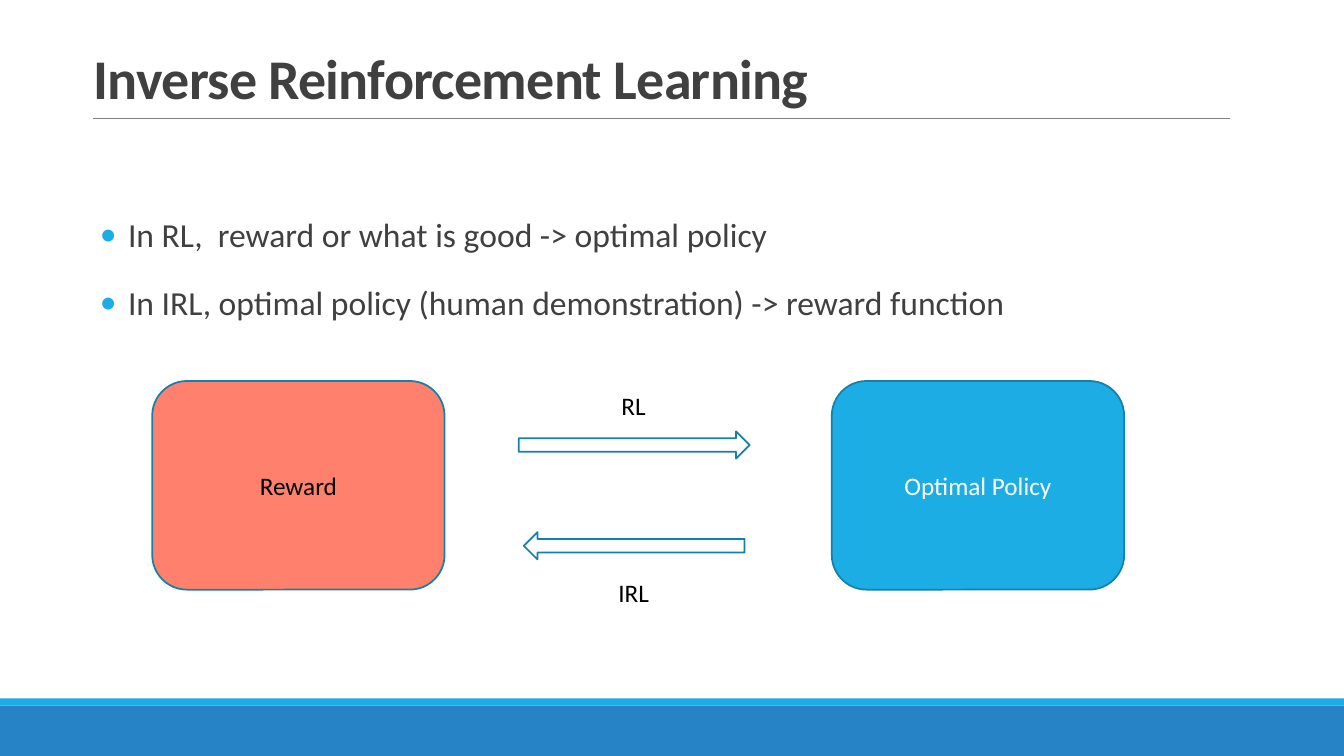
from lxml import etree
from pptx import Presentation
from pptx.dml.color import RGBColor
from pptx.enum.shapes import MSO_CONNECTOR, MSO_SHAPE as SHAPE
from pptx.enum.text import MSO_ANCHOR as ANCHOR, PP_ALIGN as ALIGN
from pptx.oxml.ns import qn
from pptx.util import Inches, Pt

BLUE, DARK_BLUE, OUTLINE = "1CADE4", "2683C6", "1580A9"
GREY, BLACK, WHITE, CORAL = "404040", "000000", "FFFFFF", "FF816D"


def color(value):
    return RGBColor.from_string(value)


def write(p, text, ink, **formats):
    r = p.add_run()
    r.text = text
    for name, value in {"name": "Calibri", **formats}.items():
        setattr(r.font, name, value)
    r.font.color.rgb = color(ink)
    return r


def add_text(slide, box, wrap=True, **formats):
    tf = slide.shapes.add_textbox(*map(Inches, box)).text_frame
    for name, value in {"word_wrap": wrap, **formats}.items():
        setattr(tf, name, value)
    return tf


def add_block(slide, kind, box, fill, line=None):
    sp = slide.shapes.add_shape(kind, *map(Inches, box))
    sp.shadow.inherit = False
    sp.fill.solid()
    sp.fill.fore_color.rgb = color(fill)
    if line:
        sp.line.color.rgb = color(line)
        sp.line.width = Pt(1.25)
    else:
        sp.line.fill.background()
    return sp


def add_footer(slide, left, top, width, height):
    stripe = 0.07
    add_block(slide, SHAPE.RECTANGLE, (left, top + stripe, width, height - stripe), DARK_BLUE)
    add_block(slide, SHAPE.RECTANGLE, (left, top, width, stripe), BLUE)


def add_title(slide, text, left, top, width, height):
    rule_y = Inches(top + height + 0.02)
    rule = slide.shapes.add_connector(
        MSO_CONNECTOR.STRAIGHT, Inches(left + 0.09), rule_y, Inches(left + width - 0.07), rule_y)
    rule.line.color.rgb = color("808080")
    rule.line.width = Pt(0.5)
    etree.SubElement(rule._element.spPr, qn("a:effectLst"))
    tf = add_text(slide, (left, top, width, height), vertical_anchor=ANCHOR.BOTTOM)
    p = tf.paragraphs[0]
    p.line_spacing = 0.85
    r = write(p, text, GREY, size=Pt(40), bold=True)
    r.font._element.set("spc", "-50")


def add_bullets(slide, items, left, top, width, height):
    tf = add_text(slide, (left, top, width, height), margin_left=0, margin_right=0)
    for i, item in enumerate(items):
        p = tf.add_paragraph() if i else tf.paragraphs[0]
        p.line_spacing, p.space_before, p.space_after = 1.2, Pt(12 if i else 0), Pt(2)
        pPr = p._p.get_or_add_pPr()
        pPr.set("marL", str(Inches(0.39)))
        pPr.set("indent", str(Inches(-0.28)))
        bullet_color = etree.SubElement(pPr, qn("a:buClr"))
        etree.SubElement(bullet_color, qn("a:srgbClr"), val=BLUE)
        etree.SubElement(pPr, qn("a:buFont"), typeface="Calibri")
        etree.SubElement(pPr, qn("a:buChar"), char="•")
        write(p, item, GREY, size=Pt(24))


def add_cycle(slide, left, top, width, height):
    card_w = 2.9
    cards = [("Reward", left, CORAL, BLACK),
             ("Optimal Policy", left + width - card_w, BLUE, WHITE)]
    for text, x, fill, ink in cards:
        sp = add_block(slide, SHAPE.ROUNDED_RECTANGLE, (x, top, card_w, height), fill, OUTLINE)
        tf = sp.text_frame
        tf.vertical_anchor = ANCHOR.MIDDLE
        tf.paragraphs[0].alignment = ALIGN.CENTER
        write(tf.paragraphs[0], text, ink, size=Pt(18))

    middle = left + width / 2 - 0.04
    arrows = [("RL", SHAPE.RIGHT_ARROW, 2.29, 0.5, 0.04, 0.45),
              ("IRL", SHAPE.LEFT_ARROW, 2.19, 1.5, 1.9, 0.51)]
    for text, kind, arrow_w, arrow_y, label_y, label_w in arrows:
        add_block(slide, kind, (middle - arrow_w / 2, top + arrow_y, arrow_w, 0.27), WHITE, OUTLINE)
        tf = add_text(slide, (middle - label_w / 2, top + label_y, label_w, 0.4), wrap=False)
        write(tf.paragraphs[0], text, BLACK, size=Pt(18))


def main():
    prs = Presentation()
    prs.slide_width, prs.slide_height = Inches(13.33), Inches(7.5)
    slide = prs.slides.add_slide(prs.slide_layouts[6])
    add_footer(slide, 0, 6.93, 13.33, 0.57)
    add_title(slide, "Inverse Reinforcement Learning", 0.83, 0.35, 11.44, 0.8)
    add_bullets(slide, [
        "In RL,  reward or what is good -> optimal policy",
        "In IRL, optimal policy (human demonstration) -> reward function",
    ], 0.88, 1.99, 11.44, 1.3)
    add_cycle(slide, 1.51, 3.78, 9.64, 2.07)
    prs.save("out.pptx")


if __name__ == "__main__":
    main()
